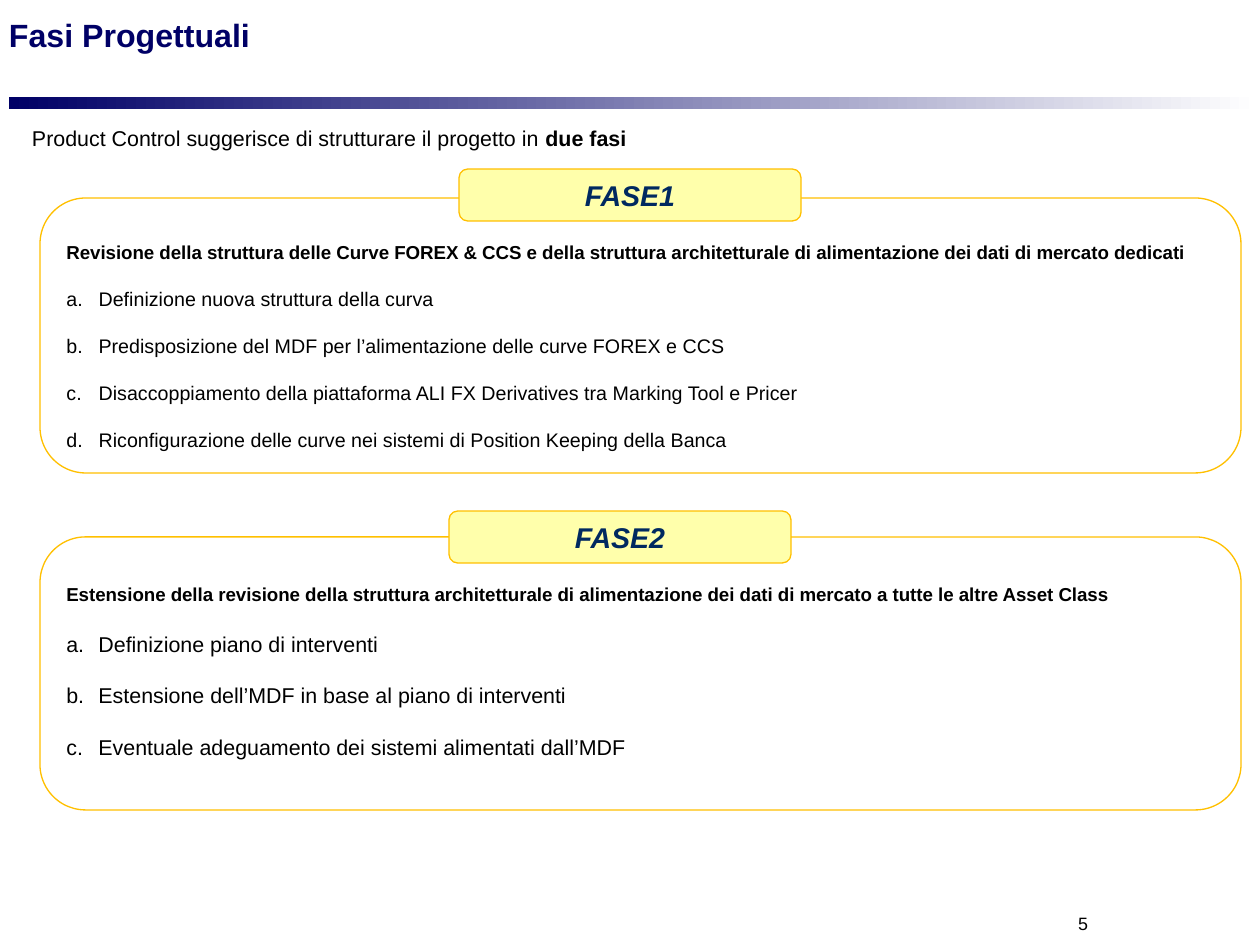
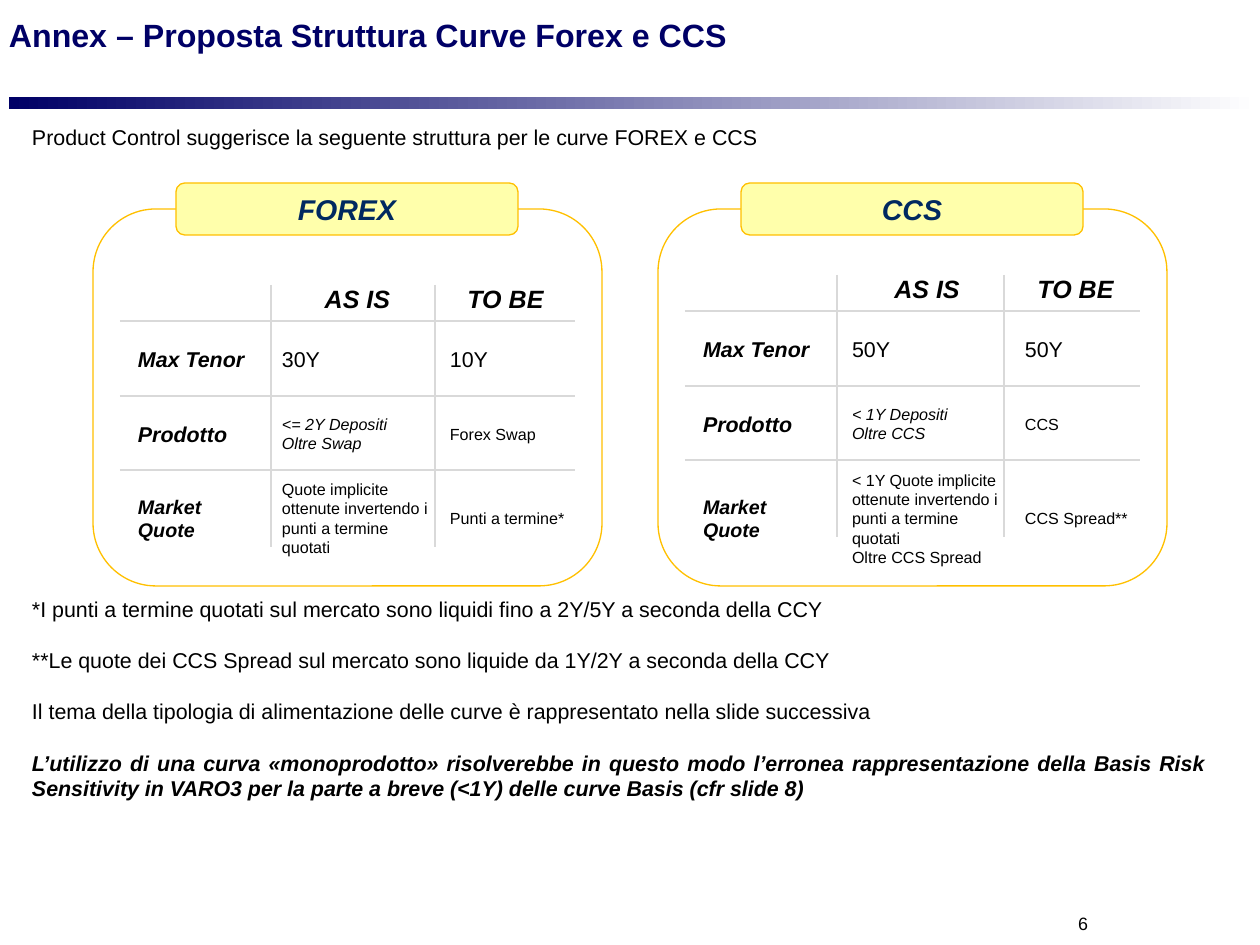
from itertools import accumulate
from lxml import etree
from pptx import Presentation
from pptx.dml.color import RGBColor
from pptx.enum.shapes import MSO_CONNECTOR as Connector, MSO_SHAPE as Shape
from pptx.enum.text import MSO_ANCHOR as Anchor, PP_ALIGN as Align
from pptx.oxml import parse_xml
from pptx.oxml.ns import nsdecls, qn
from pptx.util import Emu, Pt

SCALE = 914400 / 128.6
FONT = "Arial"
NAVY, DARK_BLUE, BLACK, WHITE = "000066", "002960", "000000", "FFFFFF"
GOLD, YELLOW, GREY = "FFC000", "FFFFAB", "D9D9D9"
NO_STYLE = "{2D5ABB26-0587-4C30-8999-92F81FD0307C}"
hex_color = RGBColor.from_string


def px(*lengths):
    return [Emu(round(length * SCALE)) for length in lengths]


def write(frame, text, size, color=BLACK, bold=False, italic=False,
          align=Align.LEFT, anchor=Anchor.TOP, margins=(13, 6, 13, 6), gap=0):
    frame.word_wrap = True
    frame.vertical_anchor = anchor
    (frame.margin_left, frame.margin_top,
     frame.margin_right, frame.margin_bottom) = px(*margins)
    para = frame.add_paragraph() if frame.text else frame.paragraphs[0]
    para.add_run().text = text
    para.alignment = align
    para.space_before = Pt(gap)
    para.font.name, para.font.size = FONT, Pt(size)
    para.font.bold, para.font.italic = bold, italic
    para.font.color.rgb = hex_color(color)
    return para


deck = Presentation()
deck.slide_width, deck.slide_height = px(1260, 945)

pages, intros = [], []
for title, number, intro, intro_top in [
    ("Fasi Progettuali", "5", "Product Control suggerisce di strutturare il progetto in ", 119),
    ("Annex – Proposta Struttura Curve Forex e CCS", "6",
     "Product Control suggerisce la seguente struttura per le curve FOREX e CCS", 118),
]:
    page = deck.slides.add_slide(deck.slide_layouts[6])
    band = page.shapes.add_shape(Shape.RECTANGLE, *px(9, 97, 1250, 12))
    band.shadow.inherit = False
    band.line.fill.background()
    band.fill.gradient()
    band.fill.gradient_angle = 0
    for stop, color, position in zip(band.fill.gradient_stops, (NAVY, WHITE), (0, 1)):
        stop.color.rgb = hex_color(color)
        stop.position = position
    title_box = page.shapes.add_textbox(*px(9, 15, 1213, 39))
    write(title_box.text_frame, title, 18, NAVY, bold=True,
          anchor=Anchor.BOTTOM, margins=(0, 0, 0, 0))
    number_box = page.shapes.add_textbox(*px(1066, 912, 22, 22))
    write(number_box.text_frame, number, 10, align=Align.RIGHT,
          anchor=Anchor.MIDDLE, margins=(0, 0, 0, 0))
    intro_box = page.shapes.add_textbox(*px(19, intro_top, 1201, 39))
    intros.append(write(intro_box.text_frame, intro, 12))
    pages.append(page)

phases_page, curves_page = pages
emphasis = intros[0].add_run()
emphasis.text = "due fasi"
emphasis.font.bold = True

panels = {}
for page, name, panel_area, label_left, label_top in [
    (phases_page, "FASE1", (40, 198, 1201, 275), 459, 169),
    (phases_page, "FASE2", (40, 537, 1201, 273), 449, 511),
    (curves_page, "FOREX", (93, 209, 509, 377), 176, 183),
    (curves_page, "CCS", (658, 209, 509, 377), 741, 183),
]:
    panel = page.shapes.add_shape(Shape.ROUNDED_RECTANGLE, *px(*panel_area))
    label = page.shapes.add_shape(Shape.ROUNDED_RECTANGLE, *px(label_left, label_top, 342, 52))
    panel.fill.background()
    label.fill.solid()
    label.fill.fore_color.rgb = hex_color(YELLOW)
    for box in (panel, label):
        box.shadow.inherit = False
        box.line.color.rgb = hex_color(GOLD)
        box.line.width = Pt(0.75)
    write(label.text_frame, name, 16, DARK_BLUE, bold=True, italic=True,
          align=Align.CENTER, anchor=Anchor.MIDDLE)
    panels[name] = panel

for name, top, size, gap, heading, steps in [
    ("FASE1", 29, 11, 13.2,
     "Revisione della struttura delle Curve FOREX & CCS e della struttura "
     "architetturale di alimentazione dei dati di mercato dedicati",
     ["Definizione nuova struttura della curva",
      "Predisposizione del MDF per l’alimentazione delle curve FOREX e CCS",
      "Disaccoppiamento della piattaforma ALI FX Derivatives tra Marking Tool e Pricer",
      "Riconfigurazione delle curve nei sistemi di Position Keeping della Banca"]),
    ("FASE2", 33, 12, 14.3,
     "Estensione della revisione della struttura architetturale di "
     "alimentazione dei dati di mercato a tutte le altre Asset Class",
     ["Definizione piano di interventi",
      "Estensione dell’MDF in base al piano di interventi",
      "Eventuale adeguamento dei sistemi alimentati dall’MDF"]),
]:
    frame = panels[name].text_frame
    margins = (13, top, 13, 6)
    write(frame, heading, 10.5, bold=True, margins=margins)
    for step in steps:
        para = write(frame, step, size, margins=margins, gap=gap)
        properties = para._p.get_or_add_pPr()
        properties.set("marL", "228600")
        properties.set("indent", "-228600")
        bullet = parse_xml(f'<a:buAutoNum {nsdecls("a")} type="alphaLcPeriod"/>')
        properties.find(qn("a:defRPr")).addprevious(bullet)

row_names = ["Max Tenor", "Prodotto", "Market Quote"]
row_sizes = [14, 12, 9, 9]
label_sizes = [14, 12, 12, 11]
right_margins = [14, 2, 8]
for left, top, widths, left_margins, last_height, as_is, to_be in [
    (120, 285, (151, 164, 140), (18, 11, 15), 86,
     ["30Y", "<= 2Y Depositi\nOltre Swap",
      "Quote implicite ottenute invertendo i punti a termine quotati"],
     ["10Y", "Forex Swap", "Punti a termine*"]),
    (685, 275, (152, 167, 136), (18, 15, 21), 106,
     ["50Y", "< 1Y Depositi\nOltre CCS",
      "< 1Y Quote implicite ottenute invertendo i punti a termine quotati\nOltre CCS Spread"],
     ["50Y", "CCS", "CCS Spread**"]),
]:
    heights = (36, 75, 74, last_height)
    table = curves_page.shapes.add_table(
        4, 3, *px(left, top, sum(widths), sum(heights))).table
    table.first_row = table.horz_banding = False
    table._tbl.tblPr.find(qn("a:tableStyleId")).text = NO_STYLE
    for column, width in zip(table.columns, px(*widths)):
        column.width = width
    for row, height in zip(table.rows, px(*heights)):
        row.height = height
    columns = [[""] + row_names, ["AS IS"] + as_is, ["TO BE"] + to_be]
    for c, texts in enumerate(columns):
        for r, text in enumerate(texts):
            cell = table.cell(r, c)
            cell.fill.background()
            cell.vertical_anchor = Anchor.MIDDLE
            right = 14 if (r, c) == (0, 2) else right_margins[c]
            (cell.margin_left, cell.margin_top,
             cell.margin_right, cell.margin_bottom) = px(
                left_margins[c], 6 if r == 3 else 0, right, 7 if r == 0 else 0)
            cell.text = text
            strong = r == 0 or c == 0
            for para in cell.text_frame.paragraphs:
                para.alignment = Align.CENTER if r == 0 else Align.LEFT
                para.line_spacing = 1.07 if r > 1 else 1.0
                para.font.name = FONT
                para.font.size = Pt(label_sizes[r] if c == 0 else row_sizes[r])
                para.font.bold = strong
                para.font.italic = strong or (r, c) == (2, 1)
                para.font.color.rgb = hex_color(BLACK)
    rules = [(left + x, top, left + x, top + 262) for x in accumulate(widths[:2])]
    rules += [(left, top + y, left + sum(widths), top + y) for y in accumulate(heights[:3])]
    for ends in rules:
        rule = curves_page.shapes.add_connector(Connector.STRAIGHT, *px(*ends))
        rule.line.color.rgb = hex_color(GREY)
        rule.line.width = Pt(0.75)
        etree.SubElement(rule._element.spPr, qn("a:effectLst"))

notes_box = curves_page.shapes.add_textbox(*px(19, 590, 1201, 221))
for text, strong, gap in [
    ("*I punti a termine quotati sul mercato sono liquidi fino a 2Y/5Y a seconda della CCY", False, 0),
    ("**Le quote dei CCS Spread sul mercato sono liquide da 1Y/2Y a seconda della CCY", False, 14.3),
    ("Il tema della tipologia di alimentazione delle curve è rappresentato nella slide successiva",
     False, 14.3),
    ("L’utilizzo di una curva «monoprodotto» risolverebbe in questo modo l’erronea rappresentazione "
     "della Basis Risk Sensitivity in VARO3 per la parte a breve (<1Y) delle curve Basis (cfr slide 8)",
     True, 14.3),
]:
    write(notes_box.text_frame, text, 12, bold=strong, italic=strong,
          align=Align.JUSTIFY, gap=gap)

deck.save("out.pptx")
